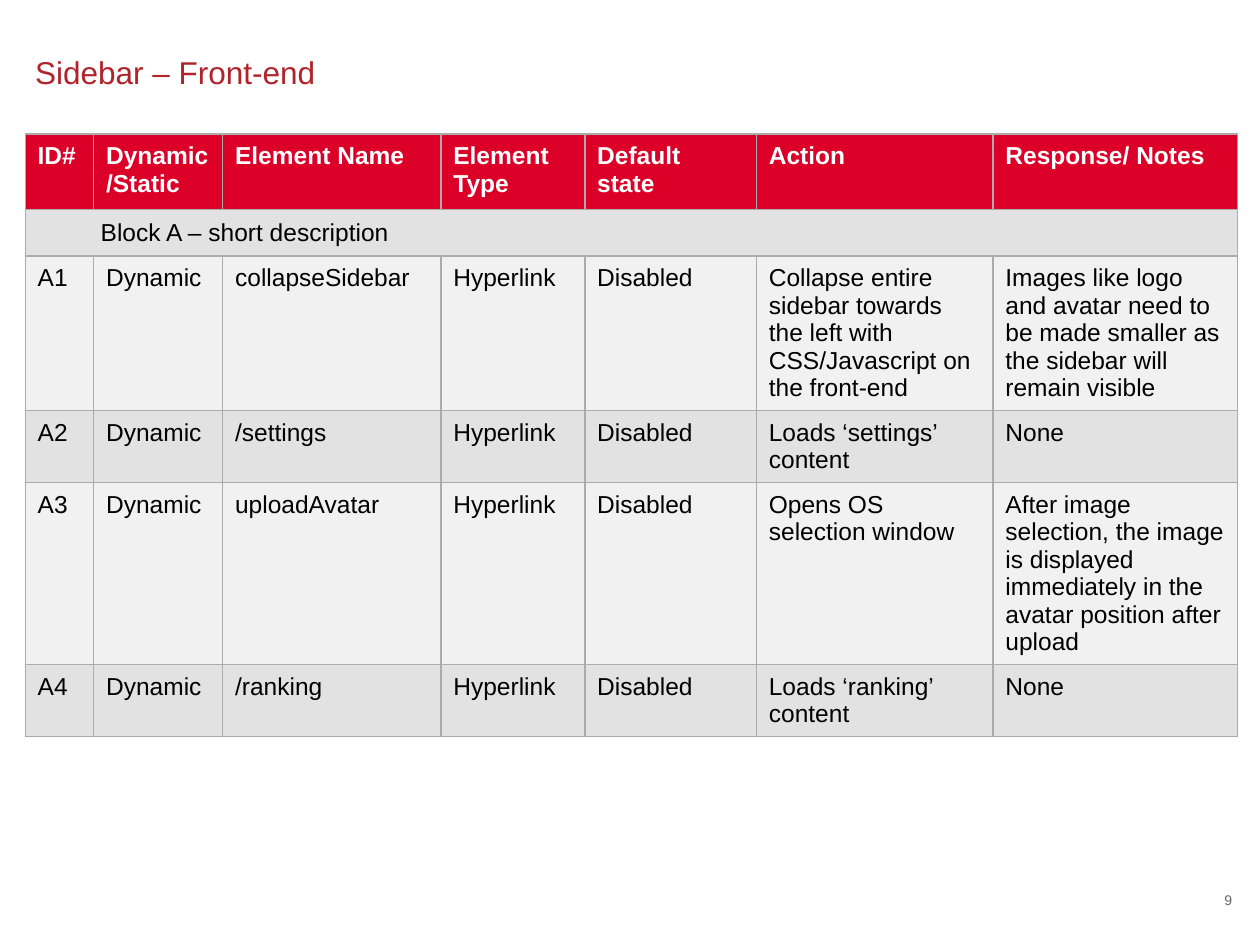
import dataclasses

import lxml.etree
import pptx
import pptx.dml.color
import pptx.enum.text
import pptx.oxml.ns
import pptx.util

Cm = pptx.util.Cm
Anchor = pptx.enum.text.MSO_ANCHOR
Align = pptx.enum.text.PP_ALIGN


@dataclasses.dataclass(frozen=True)
class Theme:
    font: str = "Arial"
    title: str = "B0232A"
    header: str = "DC0028"
    header_text: str = "FFFFFF"
    body_text: str = "000000"
    bands: tuple = ("E2E2E2", "F1F1F1")
    border: str = "ABABAB"
    muted: str = "666666"
    title_size: int = 18
    table_size: int = 14
    number_size: int = 8


class SlideBuilder:
    """Holds the theme and the current slide and adds each kind of element."""

    def __init__(self, slide, theme):
        self.slide = slide
        self.theme = theme

    def set_text(self, text_frame, text, size, color, bold=False, align=Align.LEFT):
        paragraph = text_frame.paragraphs[0]
        paragraph.text = text
        paragraph.alignment = align
        formats = {"name": self.theme.font, "size": pptx.util.Pt(size), "bold": bold}
        for name, value in formats.items():
            setattr(paragraph.font, name, value)
        paragraph.font.color.rgb = pptx.dml.color.RGBColor.from_string(color)
        return paragraph

    def text(self, text, box, size, color, align=Align.LEFT):
        shape = self.slide.shapes.add_textbox(*map(Cm, box))
        formats = {
            "word_wrap": True, "vertical_anchor": Anchor.MIDDLE,
            "margin_left": 0, "margin_right": 0, "margin_top": 0, "margin_bottom": 0,
        }
        for name, value in formats.items():
            setattr(shape.text_frame, name, value)
        self.set_text(shape.text_frame, text, size, color, align=align)

    def borders(self, cell):
        properties = cell._tc.get_or_add_tcPr()
        for position, side in enumerate(("lnL", "lnR", "lnT", "lnB")):
            line = lxml.etree.Element(pptx.oxml.ns.qn(f"a:{side}"), w=str(pptx.util.Pt(1)))
            fill = lxml.etree.SubElement(line, pptx.oxml.ns.qn("a:solidFill"))
            lxml.etree.SubElement(fill, pptx.oxml.ns.qn("a:srgbClr"), val=self.theme.border)
            properties.insert(position, line)

    def cell(self, cell, text, fill, color, bold):
        formats = {
            "margin_left": Cm(0.25), "margin_right": Cm(0.25),
            "margin_top": Cm(0.17), "margin_bottom": Cm(0.17),
            "vertical_anchor": Anchor.TOP,
        }
        for name, value in formats.items():
            setattr(cell, name, value)
        cell.fill.solid()
        cell.fill.fore_color.rgb = pptx.dml.color.RGBColor.from_string(fill)
        self.borders(cell)
        return self.set_text(cell.text_frame, text, self.theme.table_size, color, bold)

    def table(self, left, top, widths, heights, rows):
        shape = self.slide.shapes.add_table(
            len(rows), len(widths), Cm(left), Cm(top), Cm(sum(widths)), Cm(sum(heights)))
        table = shape.table
        for column, width in zip(table.columns, widths):
            column.width = Cm(width)
        for row, height in zip(table.rows, heights):
            row.height = Cm(height)
        for row_index, texts in enumerate(rows):
            is_header = row_index == 0
            fill = self.theme.header if is_header else self.theme.bands[(row_index - 1) % 2]
            color = self.theme.header_text if is_header else self.theme.body_text
            is_section = len(texts) == 1
            padded = texts + [""] * (len(widths) - len(texts))
            for column_index, text in enumerate(padded):
                cell = table.cell(row_index, column_index)
                paragraph = self.cell(cell, text, fill, color, is_header)
                if is_section and column_index == 0:
                    cell.vertical_anchor = Anchor.MIDDLE
                    paragraph.level = 1
                    properties = paragraph._p.get_or_add_pPr()
                    properties.set("marL", str(Cm(1.27)))
                    properties.set("indent", "0")
            if is_section:
                table.cell(row_index, 0).merge(table.cell(row_index, len(widths) - 1))


def element_row(identifier, name, action, notes):
    return [identifier, "Dynamic", name, "Hyperlink", "Disabled", action, notes]


def main():
    presentation = pptx.Presentation()
    presentation.slide_width = Cm(25.4)
    presentation.slide_height = Cm(19.05)
    slide = presentation.slides.add_slide(presentation.slide_layouts[6])
    theme = Theme()
    builder = SlideBuilder(slide, theme)

    rows = [
        ["ID#", "Dynamic/Static", "Element Name", "Element Type", "Default state",
         "Action", "Response/ Notes"],
        ["Block A – short description"],
        element_row("A1", "collapseSidebar",
                    "Collapse entire sidebar towards the left with CSS/Javascript on the front-end",
                    "Images like logo and avatar need to be made smaller as the sidebar "
                    "will remain visible"),
        element_row("A2", "/settings", "Loads ‘settings’ content", "None"),
        element_row("A3", "uploadAvatar", "Opens OS selection window",
                    "After image selection, the image is displayed immediately in the "
                    "avatar position after upload"),
        element_row("A4", "/ranking", "Loads ‘ranking’ content", "None"),
    ]
    widths = [1.38, 2.6, 4.4, 2.9, 3.46, 4.77, 4.93]
    heights = [1.52, 0.94, 3.1, 1.45, 3.67, 1.45]
    builder.table(0.51, 2.7, widths, heights, rows)
    builder.text("Sidebar – Front-end", (0.71, 0.77, 24.15, 1.37), theme.title_size, theme.title)
    builder.text("9", (23.95, 17.93, 0.89, 0.41), theme.number_size, theme.muted, Align.RIGHT)
    presentation.save("out.pptx")


if __name__ == "__main__":
    main()
